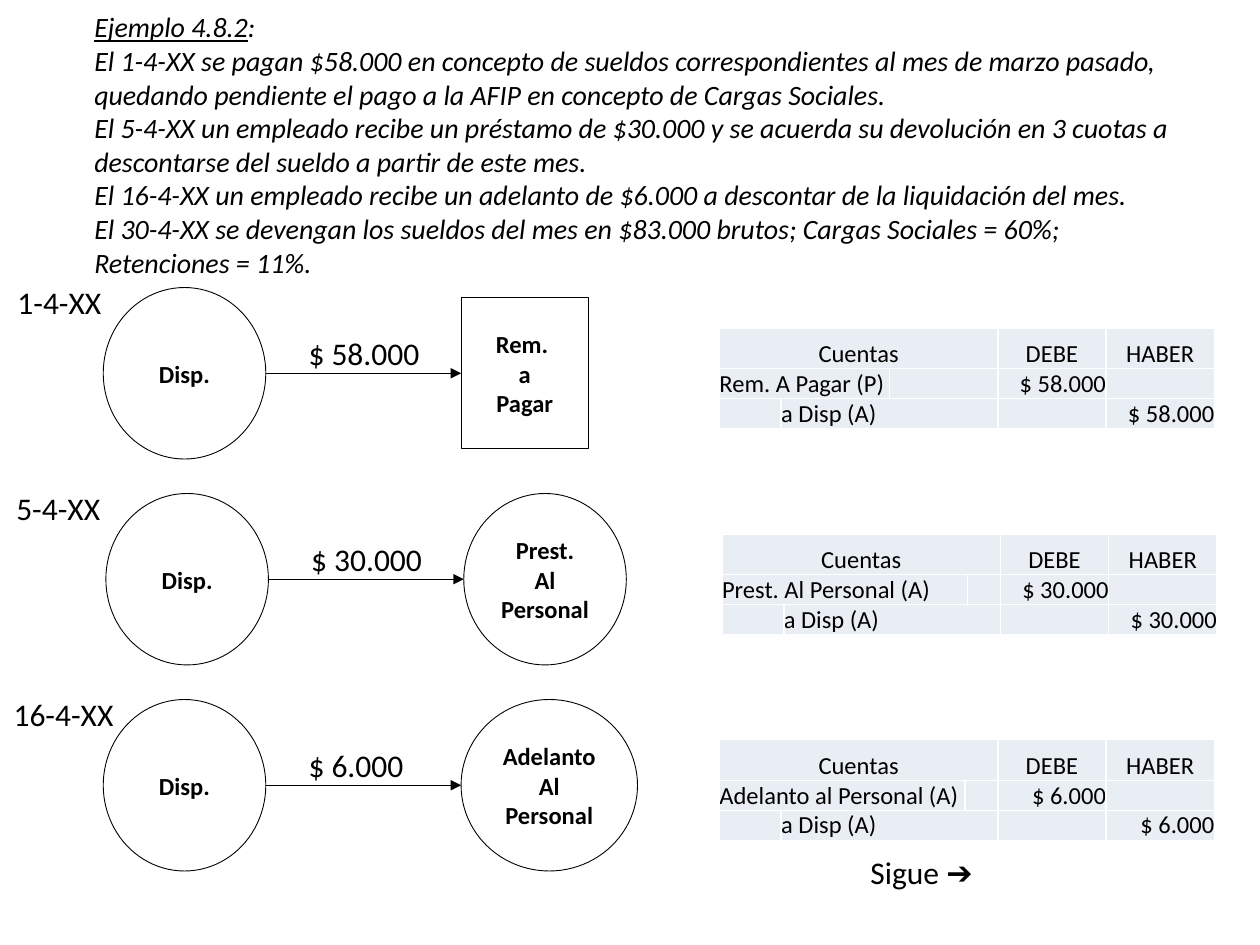
from dataclasses import dataclass

from lxml.etree import SubElement
from pptx import Presentation
from pptx.dml.color import RGBColor
from pptx.enum.shapes import MSO_CONNECTOR, MSO_SHAPE
from pptx.enum.text import MSO_ANCHOR, MSO_AUTO_SIZE, PP_ALIGN
from pptx.oxml.ns import qn
from pptx.util import Pt


@dataclass(frozen=True)
class Theme:
    font: str = "Calibri"
    ink: RGBColor = RGBColor(0, 0, 0)
    cell: RGBColor = RGBColor(0xE9, 0xED, 0xF4)
    border: str = "FFFFFF"
    intro: float = 16
    label: float = 18
    body: float = 14
    line: float = 0.5


THEME = Theme()

INTRO = [
    "El 1-4-XX se pagan $58.000 en concepto de sueldos correspondientes al mes de marzo "
    "pasado, quedando pendiente el pago a la AFIP en concepto de Cargas Sociales.",
    "El 5-4-XX un empleado recibe un préstamo de $30.000 y se acuerda su devolución en 3 "
    "cuotas a descontarse del sueldo a partir de este mes.",
    "El 16-4-XX un empleado recibe un adelanto de $6.000 a descontar de la liquidación del mes.",
    "El 30-4-XX se devengan los sueldos del mes en $83.000 brutos; Cargas Sociales = 60%; "
    "Retenciones = 11%.",
]


@dataclass(frozen=True)
class Entry:
    date: str
    date_box: tuple  # left, width
    amount: str
    amount_width: float
    target: str
    target_shape: MSO_SHAPE
    target_size: tuple
    account: str
    account_cols: tuple
    left: float


ENTRIES = [
    Entry("1-4-XX", (2.9, 63.4), "$ 58.000", 82.8, "Rem. \na\nPagar", MSO_SHAPE.RECTANGLE,
          (72.7, 86.4), "Rem. A Pagar (P)", (61.9, 61.9), 59),
    Entry("5-4-XX", (2.2, 63.4), "$ 30.000", 82.8, "Prest.\nAl\nPersonal", MSO_SHAPE.OVAL,
          (92.9, 98), "Prest. Al Personal (A)", (105.1, 18.7), 60.5),
    Entry("16-4-XX", (0.7, 72), "$ 6.000", 73.4, "Adelanto\nAl\nPersonal", MSO_SHAPE.OVAL,
          (100.8, 98), "Adelanto al Personal (A)", (105.1, 18.7), 59),
]
FIRST_TOP, ROW_STEP = 164.3, 117.7
CIRCLE_SIZE = (92.9, 98)


def format_text(tf, size, align=PP_ALIGN.LEFT, bold=False, italic=False):
    for p in tf.paragraphs:
        p.alignment = align
        for r in p.runs:
            font = r.font
            font.name, font.size = THEME.font, Pt(size)
            font.bold, font.italic = bold, italic
            font.color.rgb = THEME.ink


def add_text(slide, text, left, top, width, height=29, size=THEME.label, wrap=False,
             italic=False):
    tf = slide.shapes.add_textbox(Pt(left), Pt(top), Pt(width), Pt(height)).text_frame
    tf.text = text
    tf.word_wrap = wrap
    tf.auto_size = MSO_AUTO_SIZE.SHAPE_TO_FIT_TEXT
    format_text(tf, size, italic=italic)
    return tf


def add_node(slide, text, kind, left, middle, size):
    """Outlined account shape, centred vertically on middle."""
    width, height = size
    sp = slide.shapes.add_shape(kind, Pt(left), Pt(middle - height / 2), Pt(width), Pt(height))
    sp.shadow.inherit = False
    sp.fill.background()
    sp.line.color.rgb = THEME.ink
    sp.line.width = Pt(THEME.line)
    tf = sp.text_frame
    tf.text = text
    tf.word_wrap = False
    tf.vertical_anchor = MSO_ANCHOR.MIDDLE
    format_text(tf, THEME.body, PP_ALIGN.CENTER, bold=True)
    return sp


def add_arrow(slide, source, target):
    middle = source.top + source.height // 2
    line = slide.shapes.add_connector(MSO_CONNECTOR.STRAIGHT, source.left + source.width,
                                      middle, target.left, middle)
    if target.auto_shape_type == MSO_SHAPE.RECTANGLE:
        line.end_connect(target, 1)
    line.line.color.rgb = THEME.ink
    line.line.width = Pt(THEME.line)
    SubElement(line.line._get_or_add_ln(), qn("a:tailEnd"), type="triangle")
    SubElement(line._element.spPr, qn("a:effectLst"))


def style_cell(cell, align):
    cell.margin_left = cell.margin_right = cell.margin_top = cell.margin_bottom = 0
    cell.vertical_anchor = MSO_ANCHOR.BOTTOM
    tc_pr = cell._tc.get_or_add_tcPr()
    for side in ("lnL", "lnR", "lnT", "lnB"):
        ln = SubElement(tc_pr, qn(f"a:{side}"), w=str(Pt(1)))
        SubElement(SubElement(ln, qn("a:solidFill")), qn("a:srgbClr"), val=THEME.border)
    cell.fill.solid()
    cell.fill.fore_color.rgb = THEME.cell
    format_text(cell.text_frame, THEME.body, align)
    if not cell.text:
        SubElement(cell.text_frame.paragraphs[0]._p, qn("a:endParaRPr"),
                   sz=str(int(THEME.body * 100)))


def add_journal(slide, entry, left, top):
    widths = (35.3, *entry.account_cols, 61.9, 61.9)
    heights = (23.4, 17.1, 17.1)
    table = slide.shapes.add_table(3, 5, Pt(left), Pt(top), Pt(sum(widths)),
                                   Pt(sum(heights))).table
    table.first_row = table.horz_banding = False
    for column, width in zip(table.columns, widths):
        column.width = Pt(width)
    for row, height in zip(table.rows, heights):
        row.height = Pt(height)
    rows = [
        ("Cuentas", "", "", "DEBE", "HABER"),
        (entry.account, "", "", entry.amount, ""),
        ("", "a Disp (A)", "", "", entry.amount),
    ]
    for i, row in enumerate(rows):
        for j, text in enumerate(row):
            cell = table.cell(i, j)
            cell.text = text
            body_align = PP_ALIGN.RIGHT if j > 2 else PP_ALIGN.LEFT
            style_cell(cell, PP_ALIGN.CENTER if i == 0 else body_align)
    for i, first, last in ((0, 0, 2), (1, 0, 1), (2, 1, 2)):
        table.cell(i, first).merge(table.cell(i, last))


def add_entry(slide, entry, left, top):
    """One dated operation: flow between accounts and its journal entry."""
    middle = top + CIRCLE_SIZE[1] / 2
    source = add_node(slide, "Disp.", MSO_SHAPE.OVAL, left, middle, CIRCLE_SIZE)
    target = add_node(slide, entry.target, entry.target_shape, left + 204.5, middle,
                      entry.target_size)
    add_arrow(slide, source, target)
    add_text(slide, entry.amount, left + 110.2, top + 23, entry.amount_width)
    date_left, date_width = entry.date_box
    add_text(slide, entry.date, date_left, top - 6, date_width)
    add_journal(slide, entry, left + 352.1, top + 23)


def add_intro(slide, left, top, width, height):
    tf = add_text(slide, "\n".join(["Ejemplo 4.8.2", *INTRO]), left, top, width, height,
                  THEME.intro, wrap=True, italic=True)
    heading = tf.paragraphs[0]
    heading.runs[0].font.underline = True
    heading.add_run().text = ":"
    format_text(tf, THEME.intro, italic=True)


def main():
    prs = Presentation()
    prs.slide_width, prs.slide_height = Pt(720), Pt(540)
    slide = prs.slides.add_slide(prs.slide_layouts[6])
    add_intro(slide, 46.8, 2.2, 633.6, 162.7)
    for i, entry in enumerate(ENTRIES):
        add_entry(slide, entry, entry.left, FIRST_TOP + i * ROW_STEP)
    add_text(slide, "Sigue ➔", 490.3, 483.8, 154.8, wrap=True)
    prs.save("out.pptx")


if __name__ == "__main__":
    main()
